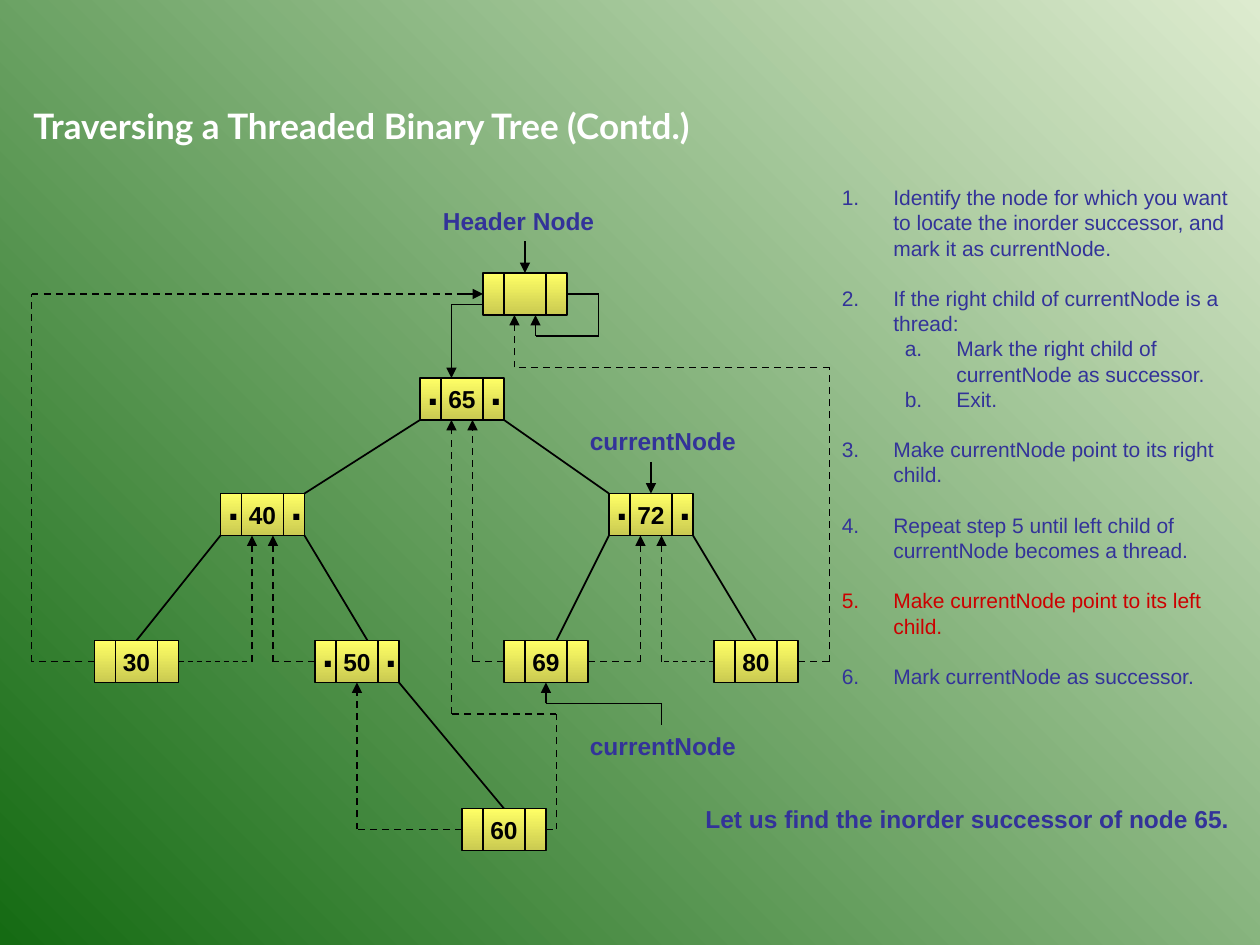
import pptx
import pptx.util
import pptx.dml.color
import pptx.enum.dml
import pptx.enum.shapes
import pptx.enum.text
import pptx.oxml
import pptx.oxml.ns
from lxml import etree

Cm, Pt = pptx.util.Cm, pptx.util.Pt
ALIGN = pptx.enum.text.PP_ALIGN
ANCHOR = pptx.enum.text.MSO_ANCHOR
UNIT = 2.54 / 12  # grid step of the tree in cm
BLUE, RED, BLACK, WHITE = "333399", "CC0000", "000000", "FFFFFF"


def color(text):
    return pptx.dml.color.RGBColor.from_string(text)


def child(parent, tag, **attrs):
    return etree.SubElement(parent, pptx.oxml.ns.qn(tag), **attrs)


def shade(fill, first, last, angle):
    fill.gradient()
    fill.gradient_angle = angle
    for stop, tone in zip(fill.gradient_stops, (first, last)):
        stop.color.rgb = color(tone)


def write(par, text, size=14, font="Arial", tone=BLUE, bold=True, align=ALIGN.LEFT):
    par.alignment = align
    run = par.add_run()
    run.text = text
    run.font.size, run.font.name, run.font.bold = Pt(size), font, bold
    run.font.color.rgb = color(tone)


def label(page, text, box, wrap=True, **style):
    shape = page.shapes.add_textbox(*map(Cm, box))
    shape.text_frame.word_wrap = wrap
    write(shape.text_frame.paragraphs[0], text, **style)
    return shape


def title(page, text, box):
    shape = page.shapes.title
    shape.left, shape.top, shape.width, shape.height = map(Cm, box)
    frame = shape.text_frame
    frame.auto_size = pptx.enum.text.MSO_AUTO_SIZE.NONE
    frame.vertical_anchor = ANCHOR.MIDDLE
    write(frame.paragraphs[0], text, size=20, font="Lato", tone=WHITE)


def steps(page, items, box):
    frame = page.shapes.add_textbox(*map(Cm, box)).text_frame
    frame.word_wrap = True
    for i, (level, text, tone) in enumerate(items):
        par = frame.paragraphs[0] if i == 0 else frame.add_paragraph()
        par.level = level
        par.line_spacing = Pt(14.4)
        if i and level == 0:
            par.space_before = Pt(14.4)
        props = par._p.get_or_add_pPr()
        props.set("marL", str(Cm(1.04 + 1.27 * level)))
        props.set("indent", str(-Cm(1.04)))
        child(child(props, "a:buClr"), "a:srgbClr", val=tone)
        kind = ("arabicPeriod", "alphaLcPeriod")[level]
        child(props, "a:buAutoNum", type=kind)
        write(par, text, size=12, tone=tone, bold=False)


def tree(page, left, top):
    """Places the tree; all its coordinates are grid steps from left, top."""
    sites = {}  # middle of a node side -> (node, site number)

    def spot(x, y):
        return Cm(left + x * UNIT), Cm(top + y * UNIT)

    def area(x, y, width, height):
        return left + x * UNIT, top + y * UNIT, width * UNIT, height * UNIT

    def line(start, end, weight=1, dash=False, arrow=False):
        link = page.shapes.add_connector(
            pptx.enum.shapes.MSO_CONNECTOR.STRAIGHT, *spot(*start), *spot(*end))
        link.line.color.rgb = color(BLACK)
        link.line.width = Pt(weight)
        if dash:
            link.line.dash_style = pptx.enum.dml.MSO_LINE.DASH
        if arrow:
            child(link.line._get_or_add_ln(), "a:tailEnd", type="triangle")
        child(link._element.spPr, "a:effectLst")
        if start in sites:
            link.begin_connect(*sites[start])
        if end in sites:
            link.end_connect(*sites[end])

    def route(points, arrow=True, **style):
        last = len(points) - 2
        for i, (start, end) in enumerate(zip(points, points[1:])):
            line(start, end, arrow=arrow and i == last, **style)

    def node(x, y, text, dots):
        shape = page.shapes.add_shape(
            pptx.enum.shapes.MSO_SHAPE.RECTANGLE, *map(Cm, area(x, y, 8, 4)))
        shape.shadow.inherit = False
        shade(shape.fill, "FFFF66", "CACA51", 270)
        shape.line.color.rgb = color(BLACK)
        shape.line.width = Pt(1)
        if text:
            frame = shape.text_frame
            frame.word_wrap = False
            frame.vertical_anchor = ANCHOR.MIDDLE
            write(frame.paragraphs[0], text, tone=BLACK, align=ALIGN.CENTER)
        for step in (2, 6):
            line((x + step, y), (x + step, y + 4))
        if dots:
            for step in (-0.5, 5.5):
                label(page, ".", area(x + step, y - 2, 3.5, 6), wrap=False,
                      size=24, tone=BLACK)
        middles = (x + 4, y), (x, y + 2), (x + 4, y + 4), (x + 8, y + 2)
        sites.update((point, (shape, i)) for i, point in enumerate(middles))

    # Nodes: left, top, value, child pointers shown
    for spec_row in (
        (43, 7, "", False), (37, 17, "65", True), (18, 28, "40", True),
        (55, 28, "72", True), (6, 42, "30", False), (27, 42, "50", True),
        (45, 42, "69", False), (65, 42, "80", False), (41, 58, "60", False),
    ):
        node(*spec_row)

    # Edges from parent to child
    for start, end in (
        ((37, 21), (26, 28)), ((45, 21), (55, 28)), ((18, 32), (10, 42)),
        ((26, 32), (32, 42)), ((55, 32), (50, 42)), ((63, 32), (69, 42)),
        ((35, 46), (45, 58)),
    ):
        line(start, end)

    # Links of the header node
    route([(43, 10), (40, 10), (40, 17)])
    route([(51, 9), (54, 9), (54, 13), (48, 13), (48, 11)])

    # Threads
    route([(6, 44), (0, 44), (0, 9), (41, 9)], arrow=False, dash=True)
    line((41, 9), (43, 9), arrow=True)
    for points in (
        [(73, 44), (76, 44), (76, 16), (46, 16), (46, 11)],
        [(45, 44), (42, 44), (42, 21)],
        [(53, 44), (58, 44), (58, 32)],
        [(27, 44), (23, 44), (23, 32)],
        [(41, 60), (31, 60), (31, 46)],
        [(49, 60), (50, 60), (50, 49), (40, 49), (40, 21)],
    ):
        route(points, dash=True)
    for start, bend, end in (
        ((14, 44), (21, 44), (21, 32)), ((65, 44), (60, 44), (60, 32)),
    ):
        line(start, bend, weight=0.75, dash=True)
        line(bend, end, dash=True, arrow=True)

    # Labels and their pointers
    label(page, "Header Node", area(38, 0, 19, 4))
    line((47, 4), (47, 7), arrow=True)
    for y in (21, 50):
        label(page, "currentNode", area(52, y, 17, 4))
    line((59, 25), (59, 28), weight=0.75, arrow=True)
    route([(60, 50), (60, 48), (49, 48), (49, 46)], weight=0.75)


def main():
    deck = pptx.Presentation()
    deck.slide_width, deck.slide_height = Cm(25.4), Cm(19.05)
    page = deck.slides.add_slide(deck.slide_layouts[5])
    shade(page.background.fill, "DDEBCF", "156B13", 225)

    title(page, "Traversing a Threaded Binary Tree (Contd.)", (0.42, 1.98, 19.05, 1.12))
    tree(page, 3 * UNIT, 19 * UNIT)
    steps(page, (
        (0, "Identify the node for which you want to locate the inorder "
            "successor, and mark it as currentNode.", BLUE),
        (0, "If the right child of currentNode is a thread:", BLUE),
        (1, "Mark the right child of currentNode as successor.", BLUE),
        (1, "Exit.", BLUE),
        (0, "Make currentNode point to its right child.", BLUE),
        (0, "Repeat step 5 until left child of currentNode becomes a thread.", BLUE),
        (0, "Make currentNode point to its left child.", RED),
        (0, "Mark currentNode as successor.", BLUE),
    ), (16.72, 3.6, 8.47, 10.41))

    # Task line
    task = label(page, "Let us find the inorder successor of node 65.",
                 (12.7, 16.09, 12.7, 1.69))
    task.text_frame.margin_left = Cm(1.52)

    deck.save("out.pptx")


if __name__ == "__main__":
    main()
